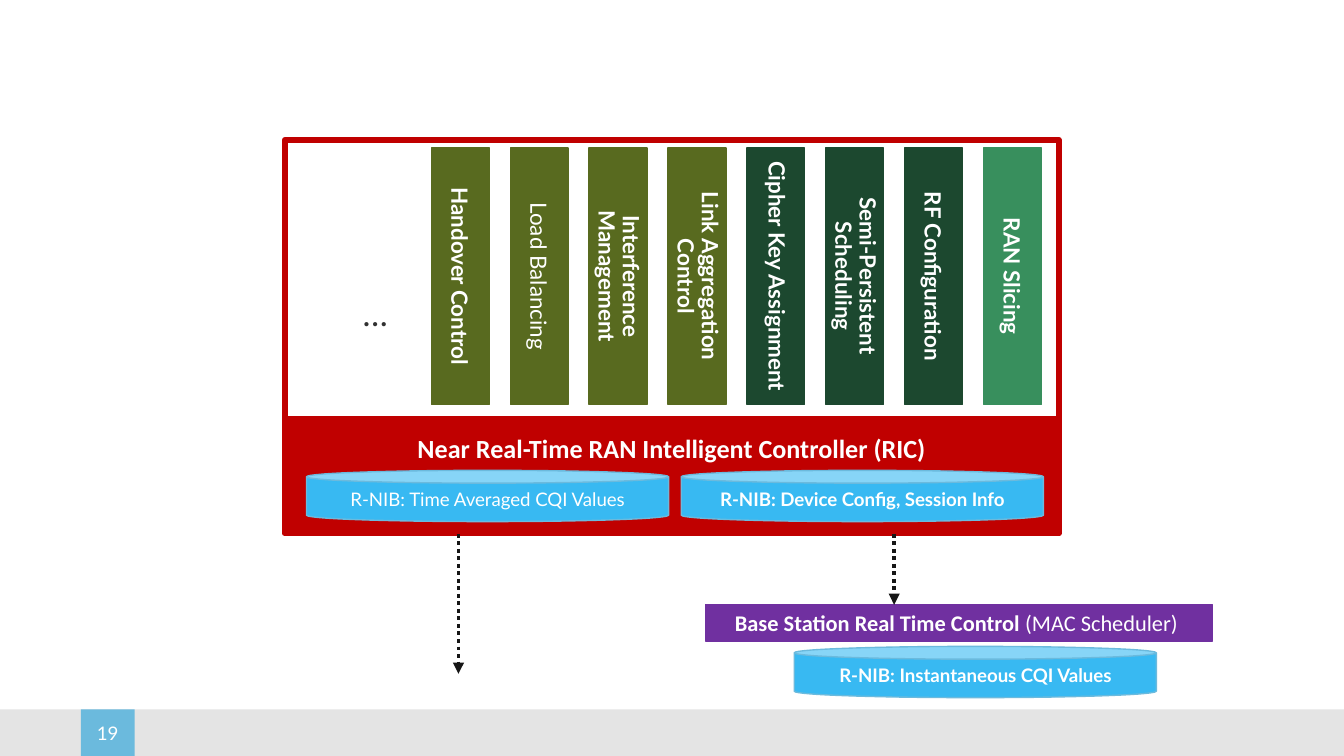
from lxml import etree
from pptx import Presentation
from pptx.dml.color import RGBColor
from pptx.enum.dml import MSO_LINE
from pptx.enum.shapes import MSO_CONNECTOR, MSO_SHAPE
from pptx.enum.text import MSO_ANCHOR, PP_ALIGN
from pptx.oxml.ns import qn
from pptx.util import Pt

RECTANGLE = MSO_SHAPE.RECTANGLE
CAN = MSO_SHAPE.CAN
STRAIGHT = MSO_CONNECTOR.STRAIGHT
DOTTED = MSO_LINE.ROUND_DOT
MIDDLE = MSO_ANCHOR.MIDDLE
TOP = MSO_ANCHOR.TOP
CENTER = PP_ALIGN.CENTER
LEFT = PP_ALIGN.LEFT

WHITE = "FFFFFF"
RED = "C00000"
OLIVE = "586A1F"
FOREST = "1C482F"
GREEN = "388F5D"
PURPLE = "7030A0"
SKY = "38B9F2"
PALE_BLUE = "6BBADD"

BAR_LENGTH = 137.5
BAR_THICKNESS = 31
BAR_CENTER_Y = 148
FIRST_BAR_CENTER = 246.6
BAR_PITCH = 42.25

APPLICATIONS = [
    (["Handover Control"], OLIVE, True, 1.0),
    (["Load Balancing"], OLIVE, False, 1.0),
    (["Interference Management"], OLIVE, True, 0.9),
    (["Link Aggregation", "Control"], OLIVE, True, 0.9),
    (["Cipher Key Assignment"], FOREST, True, 0.9),
    (["Semi-Persistent Scheduling"], FOREST, True, 0.9),
    (["RF Configuration"], FOREST, True, 1.0),
    (["RAN Slicing"], GREEN, True, 1.0),
]

DATABASES = [
    (164.2, 252, "R-NIB: Time Averaged CQI Values", False),
    (365, 252, "R-NIB: Device Config, Session Info", True),
    (425.5, 346.3, "R-NIB: Instantaneous CQI Values", True),
]


def color(hex_string):
    return RGBColor.from_string(hex_string)


def add_text(paragraph, text, size=12, font="Lato", fill=WHITE, bold=False,
             align=CENTER, spacing=1.0):
    paragraph.alignment = align
    paragraph.line_spacing = spacing
    run = paragraph.add_run()
    run.text = text
    run.font.size = Pt(size)
    run.font.name = font
    run.font.bold = bold
    run.font.color.rgb = color(fill)


def add_box(slide, left, top, width, height, fill=None, line=None,
            line_width=0.75, kind=RECTANGLE):
    shape = slide.shapes.add_shape(kind, Pt(left), Pt(top), Pt(width), Pt(height))
    shape.shadow.inherit = False
    if fill:
        shape.fill.solid()
        shape.fill.fore_color.rgb = color(fill)
    else:
        shape.fill.background()
    if line:
        shape.line.color.rgb = color(line)
        shape.line.width = Pt(line_width)
    else:
        shape.line.fill.background()
    shape.text_frame.word_wrap = True
    shape.text_frame.vertical_anchor = MIDDLE
    return shape


def add_footer(slide):
    band = add_box(slide, 0, 380, 720, 25, "A6A6A6")
    fill_color = band.fill._xPr.find(qn("a:solidFill"))[0]
    etree.SubElement(fill_color, qn("a:alpha"), val="30000")
    number = add_box(slide, 43.3, 380, 28.8, 25, PALE_BLUE)
    number.text_frame.word_wrap = False
    add_text(number.text_frame.paragraphs[0], "19", size=10)


def add_application_bar(slide, index, lines, fill, bold, spacing):
    center = FIRST_BAR_CENTER + index * BAR_PITCH
    bar = add_box(slide, center - BAR_LENGTH / 2, BAR_CENTER_Y - BAR_THICKNESS / 2,
                  BAR_LENGTH, BAR_THICKNESS, fill, fill)
    bar.rotation = 90
    frame = bar.text_frame
    for number, line in enumerate(lines):
        paragraph = frame.add_paragraph() if number else frame.paragraphs[0]
        add_text(paragraph, line, bold=bold, spacing=spacing)


def add_database(slide, left, top, text, bold):
    can = add_box(slide, left, top, 194, 27.5, SKY, PALE_BLUE, kind=CAN)
    add_text(can.text_frame.paragraphs[0], text, size=10, bold=bold)


def add_arrow(slide, x, top, bottom):
    arrow = slide.shapes.add_connector(STRAIGHT, Pt(x), Pt(top), Pt(x), Pt(bottom))
    arrow.line.color.rgb = color("161616")
    arrow.line.width = Pt(2)
    arrow.line.dash_style = DOTTED
    etree.SubElement(arrow.line._get_or_add_ln(), qn("a:tailEnd"), type="triangle")
    etree.SubElement(arrow._element.spPr, qn("a:effectLst"))


def add_controller(slide):
    panel = add_box(slide, 152.6, 223.2, 414.7, 62.6, RED, RED)
    panel.text_frame.vertical_anchor = TOP
    panel.text_frame.margin_top = Pt(8.5)
    add_text(panel.text_frame.paragraphs[0],
             "Near Real-Time RAN Intelligent Controller (RIC)",
             size=14, font="Calibri", bold=True)
    add_box(slide, 152.6, 74.9, 414.7, 211, line=RED, line_width=3)


def add_base_station(slide):
    station = add_box(slide, 378, 324, 271.5, 19.4, PURPLE, PURPLE)
    paragraph = station.text_frame.paragraphs[0]
    add_text(paragraph, "Base Station Real Time Control ", font="Calibri", bold=True)
    add_text(paragraph, "(MAC Scheduler) ", font="Calibri")


def add_ellipsis(slide):
    box = slide.shapes.add_textbox(Pt(187.2), Pt(153.4), Pt(28.8), Pt(28.8))
    box.text_frame.word_wrap = False
    add_text(box.text_frame.paragraphs[0], "…", size=18, fill="313131", align=LEFT)


def main():
    presentation = Presentation()
    presentation.slide_width = Pt(720)
    presentation.slide_height = Pt(405)
    slide = presentation.slides.add_slide(presentation.slide_layouts[6])
    add_footer(slide)
    add_controller(slide)
    add_ellipsis(slide)
    for index, application in enumerate(APPLICATIONS):
        add_application_bar(slide, index, *application)
    add_base_station(slide)
    for database in DATABASES:
        add_database(slide, *database)
    add_arrow(slide, 245.6, 286, 361)
    add_arrow(slide, 479, 286, 324)
    presentation.save("out.pptx")


if __name__ == "__main__":
    main()
